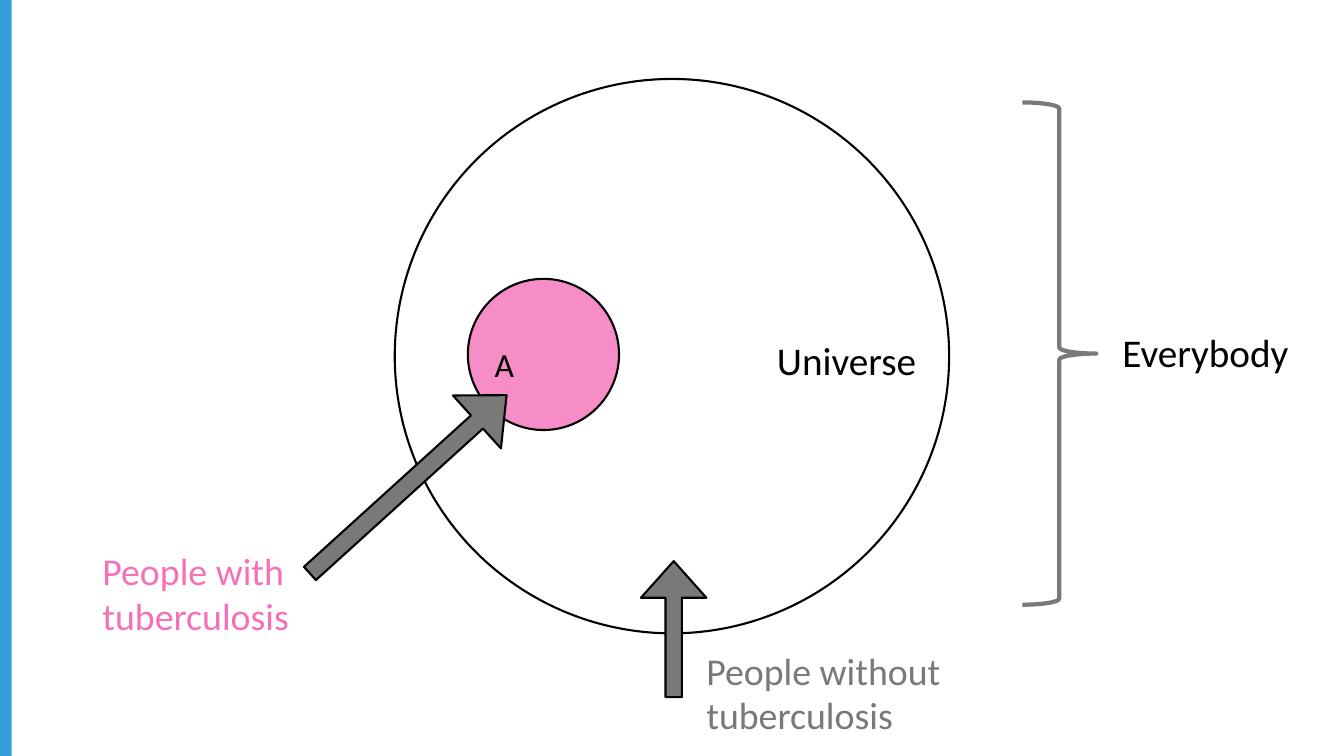
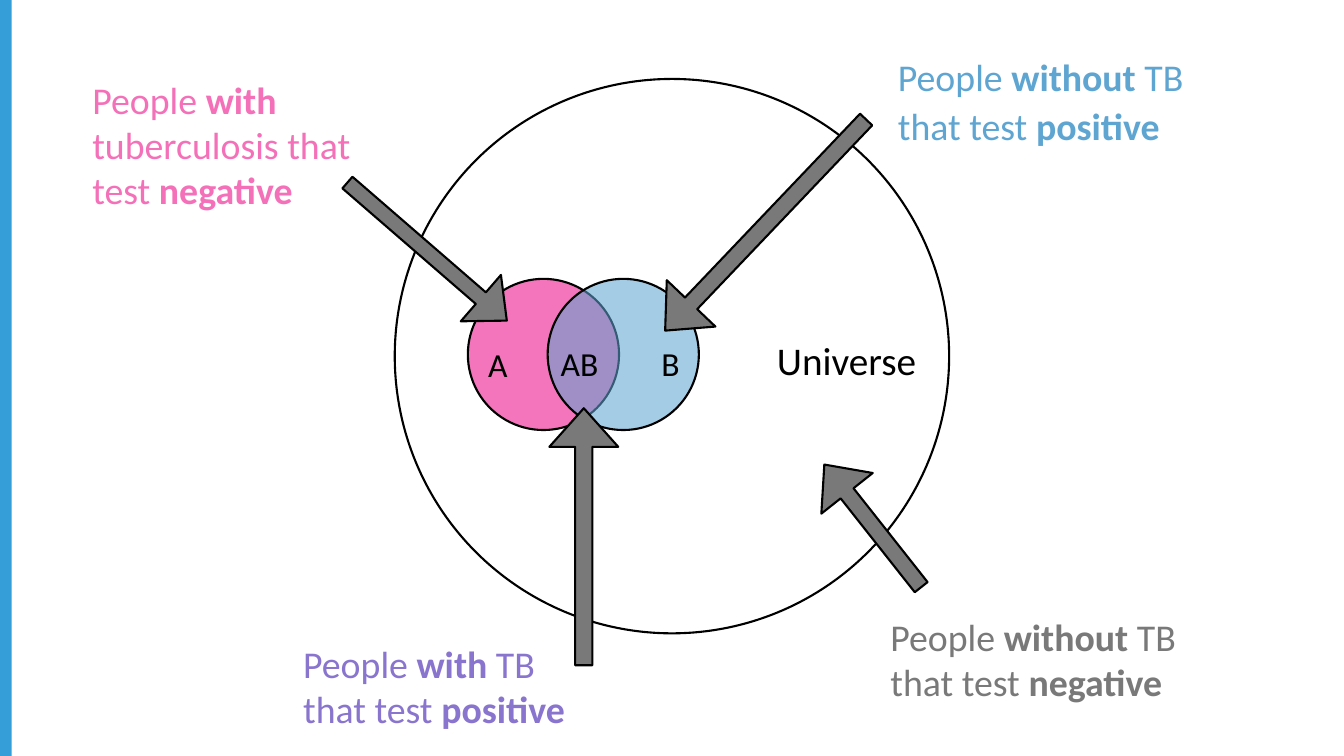
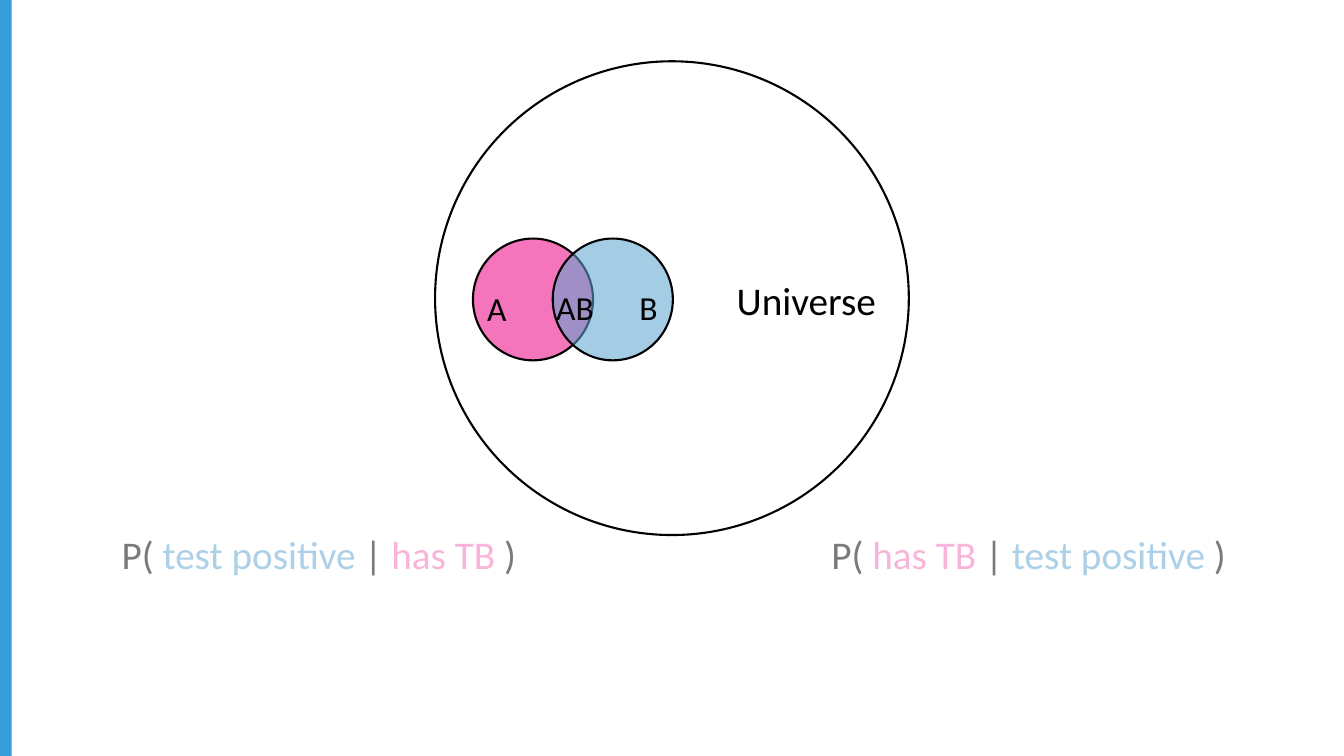
"""Build three Venn diagram slides on tuberculosis and its test."""
from dataclasses import dataclass

from lxml import etree
from pptx import Presentation, util as u
from pptx.dml.color import RGBColor
from pptx.enum import shapes, text
from pptx.oxml.ns import qn


@dataclass(frozen=True)
class Theme:
    font: str = "Calibri"
    black: str = "000000"
    white: str = "FFFFFF"
    band: str = "359ED8"
    pink: str = "F471B9"
    blue: str = "5FA5D2"
    purple: str = "8975CE"
    gray: str = "797979"
    letter: int = 24
    note: int = 27
    name: int = 28
    leading: int = 32
    gap: float = 2.4
    outline: float = 1.5
    brace: float = 3


theme = Theme()
kinds = shapes.MSO_SHAPE
LEFT, CENTER, RIGHT = text.PP_ALIGN.LEFT, text.PP_ALIGN.CENTER, text.PP_ALIGN.RIGHT

deck = Presentation()
deck.slide_width, deck.slide_height = u.Inches(40 / 3), u.Inches(7.5)
blank = deck.slide_layouts[6]
unit = deck.slide_height / 90


def draw(slide, kind, box, fill=None, opacity=100, line=None, weight=theme.outline):
    """Add a preset shape placed on the 160 by 90 grid."""
    shape = slide.shapes.add_shape(kind, *(round(n * unit) for n in box))
    shape.shadow.inherit = False
    if fill:
        shape.fill.solid()
        shape.fill.fore_color.rgb = RGBColor.from_string(fill)
        if opacity < 100:
            color = shape.element.spPr.find(qn("a:solidFill"))[0]
            etree.SubElement(color, qn("a:alpha")).set("val", str(opacity * 1000))
    else:
        shape.fill.background()
    if line:
        shape.line.color.rgb = RGBColor.from_string(line)
        shape.line.width = u.Pt(weight)
    else:
        shape.line.fill.background()
    return shape


def write(slide, box, paragraphs, size, color=theme.black, align=LEFT, fixed=True):
    """Add text as paragraphs of (words, bold, color) runs."""
    frame = slide.shapes.add_textbox(*(round(n * unit) for n in box)).text_frame
    frame.word_wrap = True
    if fixed:
        frame.margin_left = frame.margin_right = frame.margin_bottom = 0
        frame.margin_top = u.Inches(0.06)
    for index, runs in enumerate(paragraphs):
        paragraph = frame.add_paragraph() if index else frame.paragraphs[0]
        paragraph.alignment = align
        if fixed:
            paragraph.line_spacing = u.Pt(theme.leading)
            paragraph.space_before = u.Pt(theme.gap if index else 0)
        for words, bold, tint in runs:
            run = paragraph.add_run()
            run.text = words
            run.font.name, run.font.size, run.font.bold = theme.font, u.Pt(size), bold
            run.font.color.rgb = RGBColor.from_string(tint or color)


circle_a, circle_b = (55.7, 33.2, 18, 18), (65.2, 33.2, 18, 18)
universe, universe_name = (47, 9.4, 66, 66), (92.5, 39.6, 23.2, 5.8)
diagrams = [
    dict(universe=universe, name=universe_name,
         sets=[(circle_a, theme.pink, 80)],
         letters=[("A", (58.9, 39.7, 9.6, 5.4), LEFT)]),
    dict(universe=universe, name=universe_name,
         sets=[(circle_a, theme.pink, 97), (circle_b, theme.blue, 56)],
         letters=[("A", (58.1, 39.7, 9.6, 5.4), LEFT),
                  ("AB", (64.2, 39.6, 9.6, 5.4), CENTER),
                  ("B", (71.3, 39.6, 9.6, 5.4), RIGHT)]),
    dict(universe=(51.8, 7.3, 56.4, 56.4), name=(87.7, 32.5, 20.5, 5.8),
         sets=[((56.3, 28.4, 14.3, 14.5), theme.pink, 97),
               ((65.8, 28.4, 14.3, 14.5), theme.blue, 56)],
         letters=[("A", (58, 33, 9.6, 5.4), LEFT),
                  ("AB", (64.2, 32.9, 8.5, 5.4), CENTER),
                  ("B", (69.8, 32.9, 8.5, 5.4), RIGHT)]),
]

slides = []
for diagram in diagrams:
    slide = deck.slides.add_slide(blank)
    slides.append(slide)
    draw(slide, kinds.OVAL, diagram["universe"], line=theme.black)
    write(slide, diagram["name"], [[("Universe", False, None)]], theme.name)
    for box, fill, opacity in diagram["sets"]:
        draw(slide, kinds.OVAL, box, fill, opacity, theme.black)
    for letter, box, align in diagram["letters"]:
        write(slide, box, [[(letter, False, None)]], theme.letter, align=align)

people, tests, questions = slides
band = draw(people, kinds.RECTANGLE, (0, 0, 1.4, 90), theme.band)
blank.shapes.element.append(band.element)

callouts = [
    (people, (32.8, 53.4, 31.6, 8.5), 137.8, (12.2, 64.6, 30.5, 11.2), theme.pink,
     [[("People with tuberculosis", False, None)]]),
    (people, (72.1, 71, 16.2, 7.8), 90, (84.1, 76.4, 30.5, 11.2), theme.gray,
     [[("People without tuberculosis", False, None)]]),
    (tests, (38.3, 26.3, 25.1, 7.3), 220.9, (11, 8.5, 33.6, 16.6), theme.pink,
     [[("People ", False, None), ("with", True, None),
       (" tuberculosis that test ", False, None), ("negative", True, None)]]),
    (tests, (54.2, 59.8, 30.6, 8.2), 90, (36.1, 75.6, 33.6, 11.2), theme.purple,
     [[("People ", False, None), ("with", True, None),
       (" TB that test ", False, None), ("positive", True, None)]]),
    (tests, (73.8, 22.8, 34.7, 8), 313.6, (106.9, 5.8, 40.7, 11.5), theme.blue,
     [[("People ", False, None), ("without", True, None), (" TB", False, None)],
      [("that test ", False, None), ("positive", True, None)]]),
    (tests, (94.6, 58.7, 18.6, 7.8), 51.7, (106, 72.4, 36.8, 11.2), theme.gray,
     [[("People ", False, None), ("without", True, None),
       (" TB that test ", False, None), ("negative", True, None)]]),
]
for slide, arrow_box, angle, note_box, color, note in callouts:
    arrow = draw(slide, kinds.LEFT_ARROW, arrow_box, theme.gray, line=theme.black)
    arrow.rotation = angle
    arrow.adjustments[0], arrow.adjustments[1] = 0.25, 0.56
    write(slide, note_box, note, theme.note, color)

draw(people, kinds.RIGHT_BRACE, (121.7, 12.2, 8.8, 59.8),
     line=theme.gray, weight=theme.brace)
write(people, (131.9, 38.5, 23.2, 6.8), [[("Everybody", False, None)]],
      theme.name, align=CENTER, fixed=False)

positive, has_tb = ("test positive", theme.blue), ("has TB", theme.pink)
for left, veil_box, event, given in [
    (6.1, (12.6, 62.5, 51.6, 7.8), positive, has_tb),
    (90.6, (96.7, 62.2, 51.6, 7.8), has_tb, positive),
]:
    formula = [("P( ", False, None), (event[0], False, event[1]), (" | ", False, None),
               (given[0], False, given[1]), (" )", False, None)]
    write(questions, (left, 62.6, 63.7, 6.8), [formula],
          theme.name, align=CENTER, fixed=False)
    draw(questions, kinds.RECTANGLE, veil_box, theme.white, 48)

deck.save("out.pptx")
